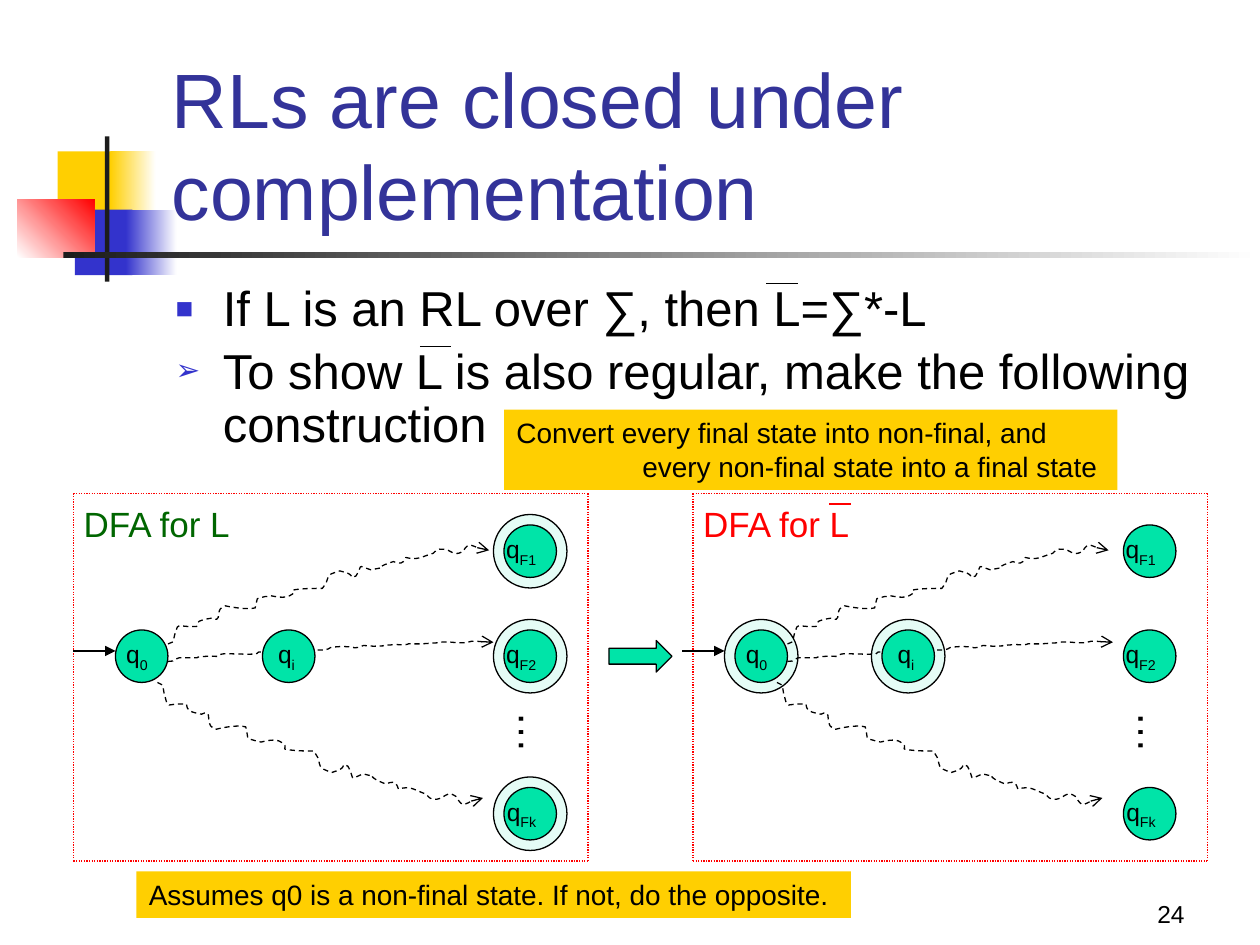
from dataclasses import dataclass

import pptx
import pptx.dml.color
import pptx.enum.dml
import pptx.enum.shapes
import pptx.enum.text
import pptx.oxml.ns
import pptx.util
from lxml import etree

Pt = pptx.util.Pt
SHAPE = pptx.enum.shapes.MSO_SHAPE
ALIGN = pptx.enum.text.PP_ALIGN
ANCHOR = pptx.enum.text.MSO_ANCHOR
DASH = pptx.enum.dml.MSO_LINE
qn = pptx.oxml.ns.qn


@dataclass(frozen=True)
class Theme:
    font: str = "Arial"
    title: str = "333399"
    ink: str = "000000"
    bar: str = "1C1C1C"
    white: str = "FFFFFF"
    yellow: str = "FFCF01"
    blue: str = "3333CC"
    red: str = "FF0000"
    green: str = "006600"
    state: str = "00E4A8"
    title_size: int = 44
    body_size: int = 28
    dots_size: int = 24
    label_size: int = 20
    note_size: int = 16
    small_size: int = 14
    thin: float = 0.75


THEME = Theme()

# Wavy route: cubic segments (two controls and an end), from (0, 0) to WAVE_END
WAVE_END = (258, 91)
WAVE = [
    (1, 1, 3, 1, 4, 2), (5, 5, 5, 9, 6, 11), (9, 22, 6, 16, 23, 17),
    (23, 19, 24, 21, 25, 22), (28, 24, 35, 25, 35, 25), (43, 21, 39, 28, 42, 34),
    (43, 35, 44, 36, 46, 37), (50, 36, 63, 33, 70, 35), (73, 47, 69, 43, 78, 46),
    (79, 46, 80, 46, 82, 47), (86, 46, 94, 44, 98, 47), (106, 52, 96, 52, 104, 53),
    (111, 54, 117, 54, 124, 54), (125, 56, 126, 57, 127, 59), (129, 62, 127, 65, 131, 68),
    (133, 69, 138, 71, 138, 71), (140, 70, 142, 70, 144, 69), (151, 65, 144, 63, 151, 66),
    (157, 77, 151, 77, 163, 72), (179, 76, 164, 71, 174, 77), (176, 78, 181, 80, 181, 80),
    (186, 78, 189, 77, 191, 84), (201, 81, 204, 85, 213, 88), (217, 93, 219, 93, 225, 91),
    (230, 88, 231, 86, 237, 90), (242, 100, 250, 91, 258, 91),
]
# Start and end of each route, and top left of each state, within a panel
ROUTES = [((54, 86), (237.5, 32.5)), ((54, 96), (240, 85)), ((48, 108), (234, 174))]
STATES = {"0": (24, 78), "i": (108, 78), "F1": (246, 18), "F2": (246, 78), "Fk": (246, 168)}
STATE_SIZE, HALO_GAP = 30, 6


def rgb(color):
    return pptx.dml.color.RGBColor.from_string(color)


def add_xml(parent, tag, **attributes):
    return etree.SubElement(parent, qn(tag), attributes)


def add_run(paragraph, text, size, color=THEME.ink, subscript=False):
    run = paragraph.add_run()
    run.text = text
    run.font.name = THEME.font
    run.font.size = Pt(size)
    run.font.color.rgb = rgb(color)
    if subscript:
        run.font._element.set("baseline", "-25000")


def set_line(line, color, width=THEME.thin, dash=None, head=None):
    line.color.rgb = rgb(color)
    line.width = Pt(width)
    if dash:
        line.dash_style = dash
    if head:
        add_xml(line._get_or_add_ln(), "a:tailEnd", type=head)


def add_shape(slide, kind, box, fill, outline=None, alpha=None):
    shape = slide.shapes.add_shape(kind, *map(Pt, box))
    shape.shadow.inherit = False
    shape.fill.solid()
    shape.fill.fore_color.rgb = rgb(fill)
    if alpha:
        color = shape.fill._xPr.find(".//" + qn("a:srgbClr"))
        add_xml(color, "a:alpha", val=str(alpha * 1000))
    if outline:
        set_line(shape.line, outline)
    else:
        shape.line.fill.background()
    return shape


def add_gradient(slide, box, start, end, angle=0):
    shape = add_shape(slide, SHAPE.RECTANGLE, box, start)
    shape.fill.gradient()
    shape.fill.gradient_angle = angle
    for stop, color in zip(shape.fill.gradient_stops, (start, end)):
        stop.color.rgb = rgb(color)


def add_line(slide, start, end, color, width=THEME.thin, dash=None, head=None):
    connector = slide.shapes.add_connector(
        pptx.enum.shapes.MSO_CONNECTOR.STRAIGHT, *map(Pt, (*start, *end)))
    set_line(connector.line, color, width, dash, head)
    add_xml(connector._element.spPr, "a:effectLst")
    connector._element.remove(connector._element.find(qn("p:style")))


def add_text(slide, box, text, size, color=THEME.ink, wrap=True, anchor=ANCHOR.TOP, align=ALIGN.LEFT):
    shape = slide.shapes.add_textbox(*map(Pt, box))
    frame = shape.text_frame
    frame.word_wrap = wrap
    frame.vertical_anchor = anchor
    frame.paragraphs[0].alignment = align
    add_run(frame.paragraphs[0], text, size, color)
    return shape


def add_decoration(slide, left, top):
    """Coloured squares with a crossing upright and a fading rule."""
    add_shape(slide, SHAPE.RECTANGLE, (left + 23, top + 8.5, 35, 37.5), THEME.yellow)
    add_gradient(slide, (left + 53, top + 8.5, 26, 37.5), THEME.yellow, THEME.white)
    add_shape(slide, SHAPE.RECTANGLE, (left + 32.75, top + 41.75, 33, 37.5), THEME.blue)
    add_gradient(slide, (left + 62, top + 41.75, 29, 37.5), THEME.blue, THEME.white)
    add_gradient(slide, (left, top + 35.75, 44, 33.25), THEME.white, THEME.red, angle=45)
    add_shape(slide, SHAPE.RECTANGLE, (left + 50, top, 2.5, 83), THEME.bar)
    add_gradient(slide, (left + 26.25, top + 66, 684, 3.5), THEME.bar, THEME.white)


def add_body(slide, box, items):
    """Bulleted list of (bullet, text) items."""
    frame = slide.shapes.add_textbox(*map(Pt, box)).text_frame
    frame.word_wrap = True
    for index, (bullet, text) in enumerate(items):
        paragraph = frame.add_paragraph() if index else frame.paragraphs[0]
        paragraph.line_spacing = 0.9
        paragraph.space_before = Pt(5.6)
        properties = paragraph._p.get_or_add_pPr()
        properties.set("marL", str(Pt(27)))
        properties.set("indent", str(-Pt(27)))
        add_xml(add_xml(properties, "a:buClr"), "a:srgbClr", val=THEME.blue)
        add_xml(properties, "a:buSzPct", val="60000")
        add_xml(properties, "a:buFont", typeface=THEME.font)
        add_xml(properties, "a:buChar", char=bullet)
        add_run(paragraph, text, THEME.body_size)


def add_note(slide, box, lines):
    """Yellow note; every line after the first is indented."""
    frame = add_shape(slide, SHAPE.RECTANGLE, box, THEME.yellow).text_frame
    frame.word_wrap = True
    frame.vertical_anchor = ANCHOR.TOP
    for index, text in enumerate(lines):
        paragraph = frame.add_paragraph() if index else frame.paragraphs[0]
        paragraph.alignment = ALIGN.LEFT
        if index:
            paragraph._p.get_or_add_pPr().set("marL", str(Pt(72)))
        add_run(paragraph, text, THEME.note_size)


def add_route(slide, start, end):
    """Dashed wavy arrow, the wave stretched between two points."""
    points = [[Pt(s + (e - s) * w / full) for s, e, w, full in zip(start, end, point, WAVE_END)]
              for segment in WAVE for point in (segment[:2], segment[2:4], segment[4:])]
    builder = slide.shapes.build_freeform(*map(Pt, start))
    builder.add_line_segments(points, close=False)
    shape = builder.convert_to_shape()
    outline = shape._element.find(".//" + qn("a:path"))
    steps = outline.findall(qn("a:lnTo"))
    for index in range(0, len(steps), 3):
        curve = add_xml(outline, "a:cubicBezTo")
        for step in steps[index:index + 3]:
            curve.append(step[0])
            outline.remove(step)
    shape.shadow.inherit = False
    shape.fill.background()
    set_line(shape.line, THEME.ink, dash=DASH.DASH, head="arrow")


def add_state(slide, left, top, name):
    box = (left, top, STATE_SIZE, STATE_SIZE)
    frame = add_shape(slide, SHAPE.OVAL, box, THEME.state, THEME.ink).text_frame
    frame.word_wrap = False
    frame.vertical_anchor = ANCHOR.MIDDLE
    frame.paragraphs[0].alignment = ALIGN.RIGHT
    add_run(frame.paragraphs[0], "q", THEME.small_size)
    add_run(frame.paragraphs[0], name, THEME.small_size, subscript=True)


def add_automaton(slide, box, color, final_states, entry_left):
    left, top, width, height = box

    def at(point):
        return left + point[0], top + point[1]

    for name in final_states:
        x, y = at(STATES[name])
        halo = STATE_SIZE + 2 * HALO_GAP
        add_shape(slide, SHAPE.OVAL, (x - HALO_GAP, y - HALO_GAP, halo, halo),
                  THEME.state, THEME.ink, alpha=10)
    for start, end in ROUTES:
        add_route(slide, at(start), at(end))
    for name, point in STATES.items():
        add_state(slide, *at(point), name)
    dots = add_text(slide, (*at((245, 118.5)), 38, 36), "…", THEME.dots_size, wrap=False)
    dots.rotation = 90
    right, bottom = left + width, top + height
    for start, end in (((left, top), (left, bottom)), ((left, top), (right, top)),
                       ((right, top), (right, bottom)), ((left, bottom), (right, bottom))):
        add_line(slide, start, end, THEME.red, dash=DASH.ROUND_DOT)
    add_text(slide, (*at((-1.25, 1.5)), 100, 31), "DFA for L", THEME.label_size, color, wrap=False)
    add_line(slide, at((entry_left, 90)), at((entry_left + 24, 90)), THEME.ink, head="triangle")


def main():
    presentation = pptx.Presentation()
    presentation.slide_width, presentation.slide_height = Pt(720), Pt(540)
    slide = presentation.slides.add_slide(presentation.slide_layouts[6])
    add_decoration(slide, 10, 78)
    add_text(slide, (534, 498, 150, 36), "24", THEME.small_size,
             anchor=ANCHOR.BOTTOM, align=ALIGN.RIGHT)
    add_text(slide, (91, 48.5, 613, 90), "RLs are closed under complementation",
             THEME.title_size, THEME.title, anchor=ANCHOR.BOTTOM)
    add_automaton(slide, (42, 282, 294, 210), THEME.green, ("F1", "F2", "Fk"), 0)
    add_automaton(slide, (396, 282, 294, 210), THEME.red, ("0", "i"), -6)
    add_line(slide, (474, 288), (486, 288), THEME.red, width=1.5)
    add_shape(slide, SHAPE.RIGHT_ARROW, (348, 366, 36, 18), THEME.state, THEME.ink)
    add_body(slide, (93.25, 159, 612, 324), [
        ("■", "If L is an RL over ∑, then L=∑*-L"),
        ("➢", "To show L is also regular, make the following construction"),
    ])
    for left, top in ((438, 162), (240, 198)):
        add_line(slide, (left, top), (left + 18, top), THEME.ink)
    add_note(slide, (288, 234, 350.5, 46), [
        "Convert every final state into non-final, and",
        "every non-final state into a final state",
    ])
    add_note(slide, (78, 498, 408.25, 26.5), ["Assumes q0 is a non-final state. If not, do the opposite."])
    presentation.save("out.pptx")


if __name__ == "__main__":
    main()
